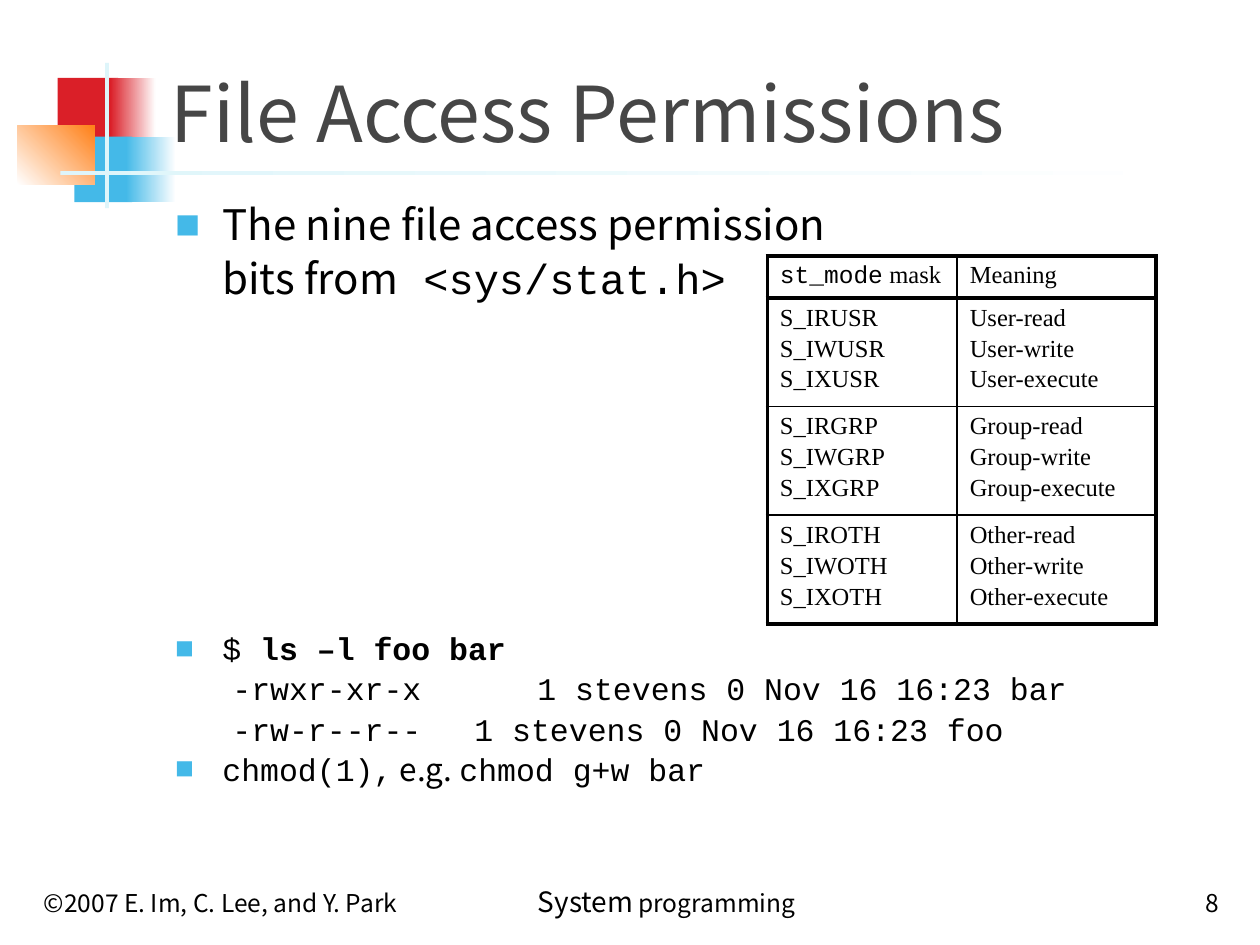
from dataclasses import dataclass
from lxml.etree import SubElement as Sub
from pptx import Presentation
from pptx.dml.color import RGBColor as Rgb
from pptx.enum.shapes import MSO_SHAPE as Shape
from pptx.enum.text import MSO_ANCHOR as Anchor, PP_ALIGN as Align
from pptx.oxml.ns import qn
from pptx.util import Pt

HUES = {"red": "DA1F28", "blue": "44B9E8", "gold": "FF8119", "ice": "DEF5FA",
        "white": "FFFFFF", "black": "000000", "gray": "464646"}
SANS, MONO, SERIF = "Noto Sans CJK KR", "Courier New", "Times New Roman"


@dataclass
class Block:
    box: tuple
    hue: str
    end: str = ""
    turn: int = 0


@dataclass
class Run:
    text: str
    font: str = SANS
    size: float = 14
    hue: str = "black"
    bold: bool = False


@dataclass
class Para:
    runs: list
    lead: float = 0
    gap: float = 0
    first: float = 0
    dot: bool = False


@dataclass
class Label:
    box: tuple
    runs: list
    align: Align = Align.LEFT


def rgb(hue: str) -> Rgb:
    return Rgb.from_string(HUES[hue])


def draw_block(slide, item: Block) -> None:
    shape = slide.shapes.add_shape(Shape.RECTANGLE, *map(Pt, item.box))
    shape.shadow.inherit = False
    shape.line.fill.background()
    if not item.end:
        shape.fill.solid()
        shape.fill.fore_color.rgb = rgb(item.hue)
        return
    shape.fill.gradient()
    shape.fill.gradient_angle = item.turn
    for stop, hue in zip(shape.fill.gradient_stops, (item.hue, item.end)):
        stop.color.rgb = rgb(hue)


def add_runs(para, runs: list) -> None:
    for item in runs:
        run = para.add_run()
        run.text = item.text
        font = run.font
        font.name, font.size, font.bold = item.font, Pt(item.size), item.bold
        font.color.rgb = rgb(item.hue)
        for tag in ("a:ea", "a:cs"):
            Sub(run._r.get_or_add_rPr(), qn(tag), typeface=item.font)


def add_box(slide, box: tuple, anchor: Anchor):
    frame = slide.shapes.add_textbox(*map(Pt, box)).text_frame
    frame.word_wrap = True
    frame.vertical_anchor = anchor
    return frame


def draw_label(slide, item: Label) -> None:
    para = add_box(slide, item.box, Anchor.BOTTOM).paragraphs[0]
    para.alignment = item.align
    add_runs(para, item.runs)


def draw_body(slide, box: tuple, paras: list) -> None:
    frame = add_box(slide, box, Anchor.TOP)
    for i, item in enumerate(paras):
        para = frame.add_paragraph() if i else frame.paragraphs[0]
        para.line_spacing, para.space_before = Pt(item.lead), Pt(item.gap)
        props = para._p.get_or_add_pPr()
        props.set("marL", str(Pt(27)))
        props.set("indent", str(Pt(-27 if item.dot else item.first)))
        if item.dot:
            Sub(Sub(props, qn("a:buClr")), qn("a:srgbClr"), val=HUES["blue"])
            Sub(props, qn("a:buSzPct"), val="60000")
            Sub(props, qn("a:buFont"), typeface=SANS)
            Sub(props, qn("a:buChar"), char="■")
        add_runs(para, item.runs)


def set_edge(cell, side: str, width: float) -> None:
    line = Sub(cell._tc.get_or_add_tcPr(), qn("a:ln" + side), w=str(Pt(width)))
    Sub(Sub(line, qn("a:solidFill")), qn("a:srgbClr"), val=HUES["black"])


def draw_table(slide, spot: tuple, cols: list, highs: list, rows: list) -> None:
    size = (sum(cols), sum(highs))
    table = slide.shapes.add_table(len(rows), len(cols), *map(Pt, spot + size)).table
    table.first_row = table.horz_banding = False
    for col, width in zip(table.columns, cols):
        col.width = Pt(width)
    last = len(rows) - 1
    for r, row in enumerate(rows):
        table.rows[r].height = Pt(highs[r])
        for c, lines in enumerate(row):
            cell = table.cell(r, c)
            # Heavy frame and header rule, thin inner rules
            heavy = {"L": c == 0, "R": c == 1, "T": r < 2, "B": r in (0, last)}
            for side, thick in heavy.items():
                set_edge(cell, side, 2.25 if thick else 1)
            cell.fill.background()
            frame = cell.text_frame
            for i, runs in enumerate(lines):
                para = frame.add_paragraph() if i else frame.paragraphs[0]
                para.space_before = Pt(2.2)
                add_runs(para, runs)


deck = Presentation()
deck.slide_width, deck.slide_height = Pt(720), Pt(540)
slide = deck.slides.add_slide(deck.slide_layouts[6])

# Corner ornament and title rule
for block in (
    Block((33, 44.5, 34.5, 37.5), "red"),
    Block((63, 44.5, 26, 37.5), "red", "white"),
    Block((42.5, 78, 33, 37.5), "blue"),
    Block((72, 78, 28.5, 37.5), "blue", "white"),
    Block((10, 72, 44, 33.5), "white", "gold", 45),
    Block((60, 36, 2.25, 83), "ice"),
    Block((34.5, 98, 648, 2.25), "ice", "white"),
):
    draw_block(slide, block)

# Title and footer
for label in (
    Label((90.5, 20, 613.5, 73.5), [Run("File Access Permissions", size=44, hue="gray")]),
    Label((252, 492, 258, 36), [Run("System", size=16), Run(" programming")], Align.CENTER),
    Label((18, 492, 224, 36), [Run("©2007 E. Im, C. Lee, and Y. Park")]),
    Label((554.5, 492, 149.5, 36), [Run("8")], Align.RIGHT),
):
    draw_label(slide, label)

# Body text
draw_body(slide, (93, 108, 612, 375), [
    Para([Run("The nine file access permission", size=24)], 30.9, dot=True),
    Para([Run("bits from", size=24), Run(" <sys/stat.h>", MONO, 24)], 30.9),
    Para([Run("$ ", MONO, 18), Run("ls –l foo bar", MONO, 18, bold=True)],
         22.9, 185, dot=True),
    Para([Run("-rwxr-xr-x\t\t1 stevens\t0 Nov 16 16:23 bar", MONO, 18)], 22.9, first=5.7),
    Para([Run("-rw-r--r--\t1 stevens\t0 Nov 16 16:23 foo", MONO, 18)], 22.9, first=5.7),
    Para([Run("chmod(1),", MONO, 18), Run(" e.g. ", size=18),
          Run("chmod g+w bar", MONO, 18)], 22.9, dot=True),
])

# Permission masks
rows = [[[[Run("st_mode", MONO), Run(" mask", SERIF)]], [[Run("Meaning", SERIF)]]]]
for code, who in (("USR", "User"), ("GRP", "Group"), ("OTH", "Other")):
    rows.append([
        [[Run(f"S_I{bit}{code}", SERIF)] for bit in "RWX"],
        [[Run(f"{who}-{act}", SERIF)] for act in ("read", "write", "execute")],
    ])
draw_table(slide, (438.5, 146.2), [108.5, 113.5], [24, 59.2, 59.2, 59.2], rows)

deck.save("out.pptx")
